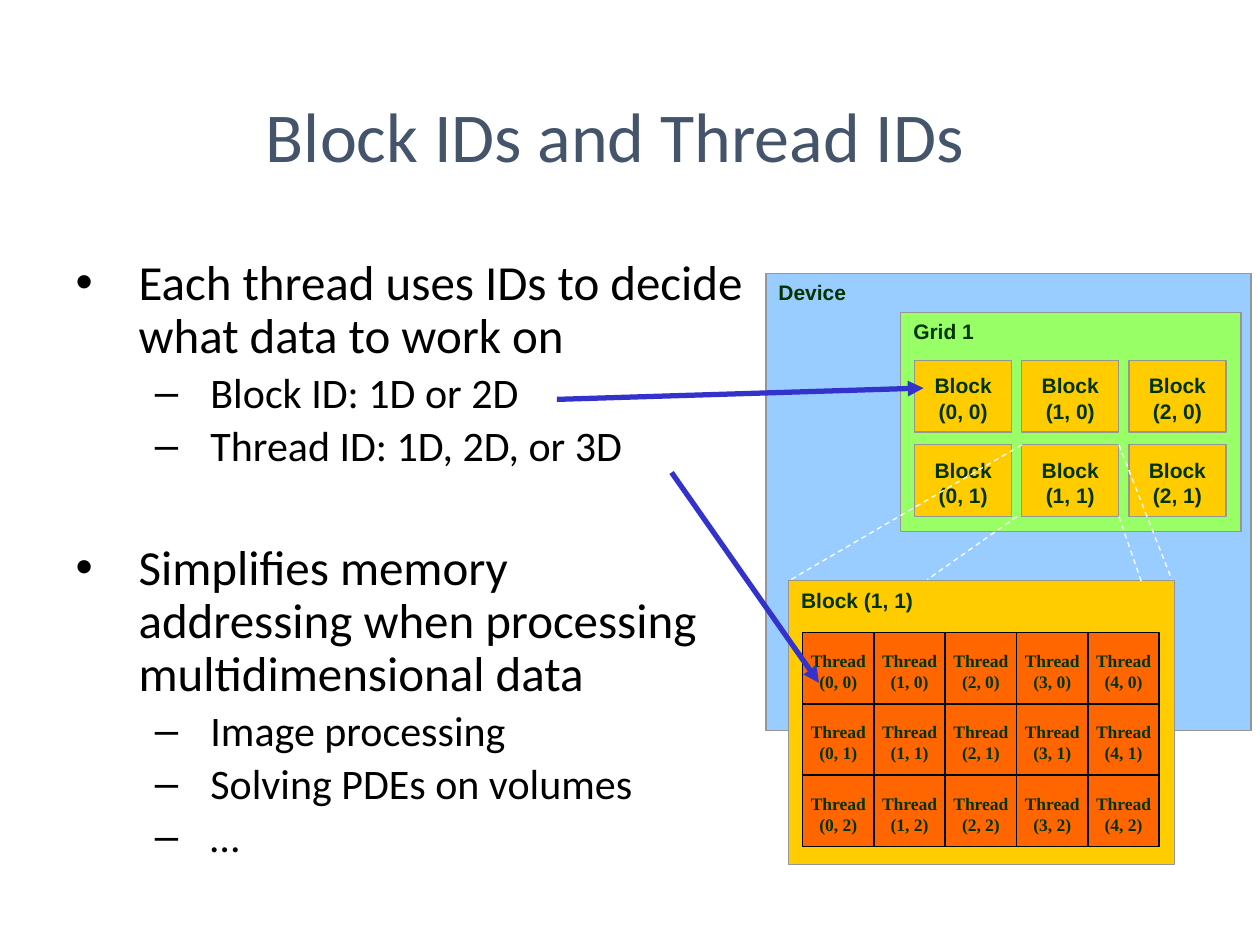
from dataclasses import dataclass
from itertools import product

from lxml.etree import SubElement
from pptx import Presentation
from pptx.dml.color import RGBColor
from pptx.enum.dml import MSO_LINE_DASH_STYLE as Dash
from pptx.enum.shapes import MSO_CONNECTOR as Connector, MSO_SHAPE as Shape
from pptx.enum.text import MSO_ANCHOR as Anchor, MSO_AUTO_SIZE as AutoSize, PP_ALIGN as Align
from pptx.oxml.ns import qn
from pptx.util import Inches, Pt


@dataclass(frozen=True)
class Theme:
    title: str = "44546A"
    body: str = "000000"
    label: str = "003300"
    device: str = "99CCFF"
    grid: str = "99FF66"
    block: str = "FFCC00"
    thread: str = "FF6600"
    border: str = "969696"
    thread_border: str = "000000"
    zoom: str = "FFFFFF"
    arrow: str = "3333CC"
    text_font: str = "Calibri"
    label_font: str = "Arial"
    thread_font: str = "Times New Roman"
    title_size: int = 40
    bullet_sizes: tuple = (28, 24)
    label_size: int = 12
    thread_size: int = 10


BULLET_INDENTS = ((0.5, -0.5), (1.07, -0.44))  # left margin and first line, by level
BULLETS = (  # level, space before in points, text
    (0, 0, "Each thread uses IDs to decide what data to work on"),
    (1, 4.5, "Block ID: 1D or 2D"),
    (1, 4.5, "Thread ID: 1D, 2D, or 3D"),
    (0, 41.5, "Simplifies memory\vaddressing when processing\vmultidimensional data"),
    (1, 4.5, "Image processing"),
    (1, 4.5, "Solving PDEs on volumes"),
    (1, 4.5, "…"),
)


def place(shape, left, top, width, height):
    shape.left, shape.top = Inches(left), Inches(top)
    shape.width, shape.height = Inches(width), Inches(height)


def write(paragraph, text, *, font, size, color, bold=False, align=Align.LEFT):
    paragraph.text = text
    paragraph.alignment = align
    paragraph.font.name = font
    paragraph.font.size = Pt(size)
    paragraph.font.bold = bold
    paragraph.font.color.rgb = RGBColor.from_string(color)


def write_lines(frame, lines, **text_format):
    for number, text in enumerate(lines):
        paragraph = frame.add_paragraph() if number else frame.paragraphs[0]
        write(paragraph, text, **text_format)


def set_insets(frame, left, top, right, bottom):
    frame.margin_left, frame.margin_top = Inches(left), Inches(top)
    frame.margin_right, frame.margin_bottom = Inches(right), Inches(bottom)


class SlideBuilder:
    def __init__(self, slide, theme):
        self.slide = slide
        self.theme = theme

    def title(self, text, *position):
        theme, shape = self.theme, self.slide.shapes.title
        place(shape, *position)
        shape.text_frame.auto_size = AutoSize.NONE
        shape.text_frame.vertical_anchor = Anchor.MIDDLE
        write(shape.text_frame.paragraphs[0], text, font=theme.text_font,
              size=theme.title_size, color=theme.title, align=Align.CENTER)

    def bullets(self, items, *position):
        theme, shape = self.theme, self.slide.placeholders[1]
        place(shape, *position)
        frame = shape.text_frame
        frame.auto_size = AutoSize.NONE
        for number, (level, space, text) in enumerate(items):
            paragraph = frame.add_paragraph() if number else frame.paragraphs[0]
            paragraph.level = level
            paragraph.line_spacing = 0.9
            paragraph.space_before = Pt(space)
            margin, indent = BULLET_INDENTS[level]
            properties = paragraph._p.get_or_add_pPr()
            properties.set("marL", str(Inches(margin)))
            properties.set("indent", str(Inches(indent)))
            write(paragraph, text, font=theme.text_font,
                  size=theme.bullet_sizes[level], color=theme.body)

    def box(self, left, top, width, height, fill, lines=(), *, border=None,
            weight=0.75, insets=(0.1, 0.05, 0.1, 0.05), align=Align.LEFT):
        theme = self.theme
        shape = self.slide.shapes.add_shape(
            Shape.RECTANGLE, Inches(left), Inches(top), Inches(width), Inches(height))
        shape.shadow.inherit = False
        shape.fill.solid()
        shape.fill.fore_color.rgb = RGBColor.from_string(fill)
        shape.line.color.rgb = RGBColor.from_string(border or theme.border)
        shape.line.width = Pt(weight)
        shape.text_frame.vertical_anchor = Anchor.TOP
        set_insets(shape.text_frame, *insets)
        write_lines(shape.text_frame, lines, font=theme.label_font,
                    size=theme.label_size, color=theme.label, bold=True, align=align)

    def thread_label(self, left, top, width, height, lines):
        theme = self.theme
        shape = self.slide.shapes.add_textbox(
            Inches(left), Inches(top), Inches(width), Inches(height))
        shape.text_frame.word_wrap = False
        set_insets(shape.text_frame, 0, 0, 0, 0)
        write_lines(shape.text_frame, lines, font=theme.thread_font,
                    size=theme.thread_size, color=theme.label, bold=True, align=Align.CENTER)

    def line(self, start, end, color, weight, *, dashed=False, arrow=False):
        connector = self.slide.shapes.add_connector(
            Connector.STRAIGHT, *(Inches(value) for value in (*start, *end)))
        connector.line.color.rgb = RGBColor.from_string(color)
        connector.line.width = Pt(weight)
        if dashed:
            connector.line.dash_style = Dash.DASH
        if arrow:
            SubElement(connector.line._get_or_add_ln(), qn("a:tailEnd"), type="triangle")
        SubElement(connector._element.spPr, qn("a:effectLst"))


def draw_device(builder):
    theme = builder.theme
    builder.box(6.08, 2.17, 3.85, 3.63, theme.device, ["Device"])
    builder.box(7.15, 2.48, 2.7, 1.74, theme.grid, ["Grid 1"])
    for row, column in product(range(2), range(3)):
        builder.box(7.26 + 0.85 * column, 2.86 + 0.67 * row, 0.77, 0.57, theme.block,
                    ["Block", f"({column}, {row})"],
                    insets=(0, 0.1, 0, 0), align=Align.CENTER)


def draw_threads(builder):
    theme = builder.theme
    columns, rows = 5, 3
    left, top, width, height = 6.37, 5.02, 2.83, 1.7
    cell_width, cell_height = width / columns, height / rows
    label_width, label_height = 0.5, 0.29

    builder.box(6.26, 4.61, 3.06, 2.25, theme.block, ["Block (1, 1)"])
    builder.box(left, top, width, height, theme.thread,
                border=theme.thread_border, weight=1)
    for row in range(1, rows):
        y = top + row * cell_height
        builder.line((left, y), (left + width, y), theme.thread_border, 1)
    for column in range(1, columns):
        x = left + column * cell_width
        builder.line((x, top), (x, top + height), theme.thread_border, 1)
    for row, column in product(range(rows), range(columns)):
        builder.thread_label(
            left + column * cell_width + (cell_width - label_width) / 2,
            top + row * cell_height + (cell_height - label_height) / 2,
            label_width, label_height, ["Thread", f"({column}, {row})"])


def draw_links(builder):
    theme = builder.theme
    zoom_lines = (
        ((8.11, 3.53), (6.26, 4.61)),
        ((8.88, 3.53), (9.3, 4.6)),
        ((8.07, 4.1), (7.36, 4.6)),
        ((8.88, 4.1), (9.06, 4.62)),
    )
    for start, end in zoom_lines:
        builder.line(start, end, theme.zoom, 0.75, dashed=True)
    for start, end in (((5.33, 3.75), (6.5, 5.42)), ((4.42, 3.17), (7.33, 3.08))):
        builder.line(start, end, theme.arrow, 3, arrow=True)


def main():
    presentation = Presentation()
    presentation.slide_width, presentation.slide_height = Inches(10), Inches(7.5)
    slide = presentation.slides.add_slide(presentation.slide_layouts[1])
    builder = SlideBuilder(slide, Theme())
    builder.title("Block IDs and Thread IDs", 0.84, 0.48, 8.08, 1.17)
    builder.bullets(BULLETS, 0.5, 2, 5.92, 4.9)
    draw_device(builder)
    draw_threads(builder)
    draw_links(builder)
    presentation.save("out.pptx")


if __name__ == "__main__":
    main()
